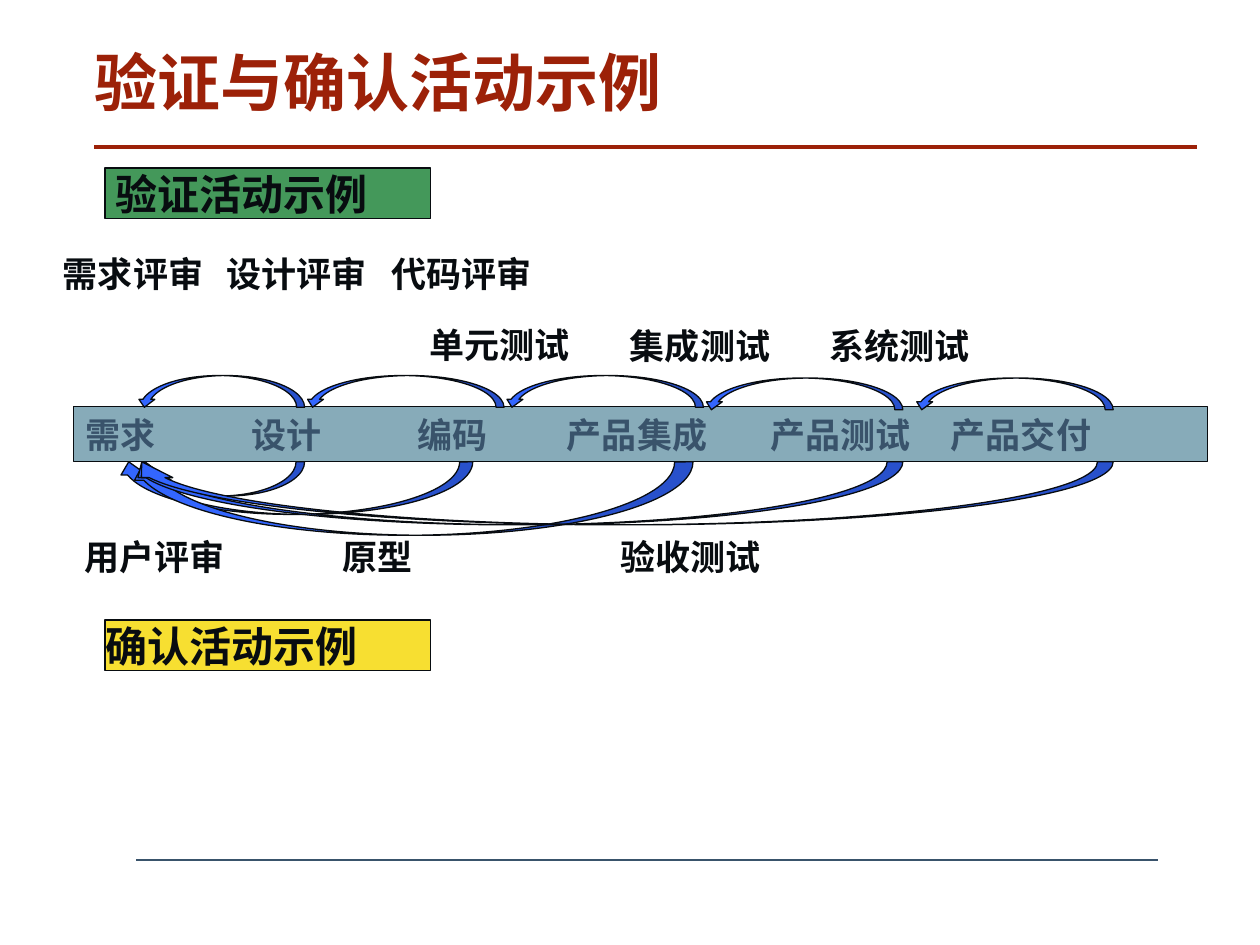
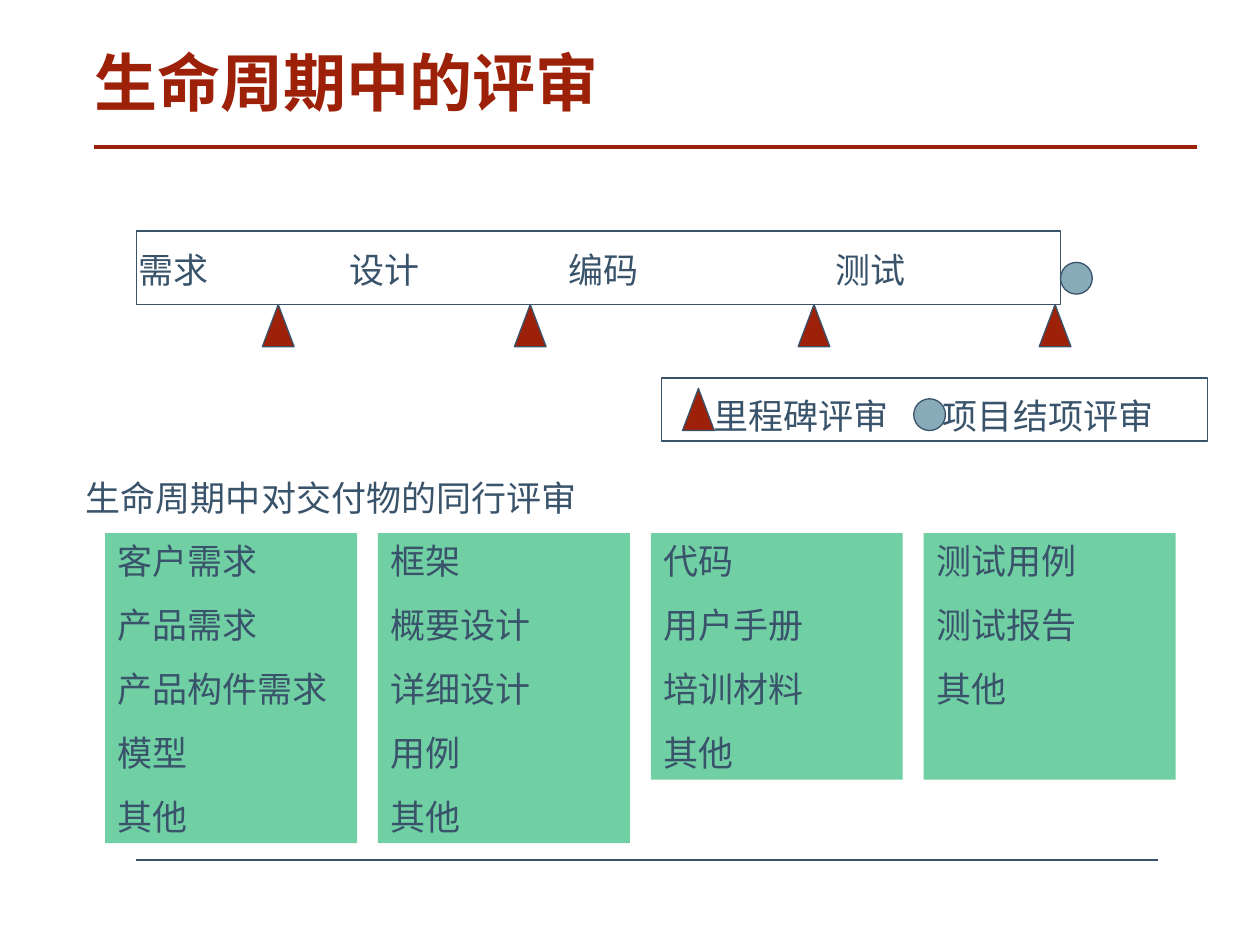
from lxml.etree import SubElement
from pptx import Presentation
from pptx.dml.color import RGBColor
from pptx.enum.shapes import MSO_CONNECTOR as CONN, MSO_SHAPE as SHAPE
from pptx.enum.text import MSO_ANCHOR as ANCHOR, PP_ALIGN as ALIGN
from pptx.oxml.ns import qn
from pptx.util import Cm, Pt

COLORS = {
    "title": "9C2108", "slate": "39536B", "ink": "080C10", "steel": "87ABB9",
    "green": "44985A", "yellow": "F7DF31", "blue": "3366FF", "mint": "71CFA4",
}
CJK = "Noto Sans CJK SC"
INSET_X, INSET_Y = 0.25, 0.13


def add_box(shapes, kind, left, top, width, height, fill=None, line=None):
    """Add a preset shape; all lengths in cm."""
    sp = shapes.add_shape(kind, Cm(left), Cm(top), Cm(width), Cm(height))
    sp.shadow.inherit = False
    if fill:
        sp.fill.solid()
        sp.fill.fore_color.rgb = RGBColor.from_string(COLORS[fill])
    else:
        sp.fill.background()
    if line:
        sp.line.color.rgb = RGBColor.from_string(COLORS[line])
        sp.line.width = Pt(0.75)
    else:
        sp.line.fill.background()
    return sp


def write(sp, lines, color, size=20, bold=False, font=CJK, inset=(0, 0), tabs=()):
    """Write one paragraph per line; tabs are cm from the text edge."""
    tf = sp.text_frame
    tf.word_wrap = True
    tf.vertical_anchor = ANCHOR.TOP
    tf.margin_left = tf.margin_right = Cm(inset[0])
    tf.margin_top = tf.margin_bottom = Cm(inset[1])
    for i, line in enumerate(lines):
        p = tf.paragraphs[0] if i == 0 else tf.add_paragraph()
        p.alignment = ALIGN.LEFT
        p.space_before = Pt(size * 0.625 if i else 0)
        if tabs:
            tab_list = SubElement(p._p.get_or_add_pPr(), qn("a:tabLst"))
            for pos in tabs:
                SubElement(tab_list, qn("a:tab"), pos=str(Cm(pos)), algn="l")
        r = p.add_run()
        r.text = line
        r.font.name = font
        r.font.size = Pt(size)
        r.font.bold = bold
        r.font.color.rgb = RGBColor.from_string(COLORS[color])
        SubElement(r._r.get_or_add_rPr(), qn("a:ea"), typeface=CJK)


prs = Presentation()
prs.slide_width, prs.slide_height = Cm(25.4), Cm(19.05)

# Shared frame: title, title rule and footer rule
rules = [(2.75, 23.35, 17.34, "slate", 1), (1.9, 24.13, 2.96, "title", 2.25)]
slides = []
for title in ("验证与确认活动示例", "生命周期中的评审"):
    slide = prs.slides.add_slide(prs.slide_layouts[5])
    slides.append(slide)
    for x1, x2, y, color, width in rules:
        rule = slide.shapes.add_connector(CONN.STRAIGHT, Cm(x1), Cm(y), Cm(x2), Cm(y))
        rule.line.color.rgb = RGBColor.from_string(COLORS[color])
        rule.line.width = Pt(width)
        SubElement(rule._element.spPr, qn("a:effectLst"))
    sp = slide.shapes.title
    sp.left, sp.top, sp.width, sp.height = Cm(1.9), Cm(1.07), Cm(22.23), Cm(1.55)
    write(sp, [title], "title", size=36, bold=True)
    sp.text_frame.paragraphs[0].line_spacing = 0.89

# Slide 1: process bar
shapes = slides[0].shapes
bar = add_box(shapes, SHAPE.RECTANGLE, 1.48, 8.2, 22.86, 1.11, "steel", "ink")
write(bar, ["需求\t设计\t编码\t产品集成\t产品测试\t产品交付"], "slate", bold=True,
      font="Arial", inset=(INSET_X, INSET_Y), tabs=(3.35, 6.68, 9.7, 13.81, 17.44))

# Activity labels above and below the bar
activities = [
    ("用户评审\t原型\t验收测试", 1.7, 10.8, 22.4, (5.21, 10.8)),
    ("单元测试", 8.65, 6.52, 3.6, ()),
    ("集成测试", 12.7, 6.55, 3.6, ()),
    ("系统测试", 16.72, 6.55, 3.6, ()),
    ("需求评审\t设计评审\t代码评审", 1.27, 5.08, 21.4, (3.3, 6.62)),
]
for text, left, top, width, tabs in activities:
    sp = shapes.add_textbox(Cm(left), Cm(top), Cm(width), Cm(0.85))
    write(sp, [text], "ink", bold=True, tabs=tabs)

# Headings of the two activity groups
for text, top, fill, indent in (("验证活动示例", 3.39, "green", 0.2),
                                ("确认活动示例", 12.5, "yellow", 0)):
    sp = add_box(shapes, SHAPE.RECTANGLE, 2.12, top, 6.56, 1.02, fill, "ink")
    write(sp, [text], "ink", size=24, bold=True, inset=(indent, 0))

# Backward arrows: verification above the bar, validation below
verify_arrows = [(2.75, 7.57, 3.39), (6.14, 7.57, 4.02), (10.16, 7.57, 4.02),
                 (14.18, 7.62, 4.02), (18.42, 7.62, 4.02)]
validate_arrows = [(2.75, 3.39, 0.69), (2.33, 7.2, 1.06), (2.54, 11.43, 1.48),
                   (2.54, 15.66, 1.27), (2.54, 19.9, 1.27)]
arrows = [(SHAPE.CURVED_UP_ARROW, x, y, w, 0.64) for x, y, w in verify_arrows]
arrows += [(SHAPE.CURVED_DOWN_ARROW, x, 9.31, w, h) for x, w, h in validate_arrows]
for arrow in arrows:
    sp = add_box(shapes, *arrow, fill="blue", line="ink")
    sp.rotation = 180

# Slide 2: life cycle bar
shapes = slides[1].shapes
add_box(shapes, SHAPE.RECTANGLE, 2.75, 4.66, 18.63, 1.48, line="slate")

# Review markers on the bar and in the legend
for left, top in ((21.38, 5.29), (18.42, 8.04)):
    add_box(shapes, SHAPE.OVAL, left, top, 0.64, 0.64, "steel", "slate")
for left, top in ((5.29, 6.14), (10.37, 6.14), (16.09, 6.14), (20.95, 6.14),
                  (13.76, 7.83)):
    add_box(shapes, SHAPE.ISOSCELES_TRIANGLE, left, top, 0.64, 0.85, "title", "slate")

# Phase names, legend text and subheading
captions = [
    ("需求\t设计\t编码\t测试", 2.54, 4.87, 18.63, (4.26, 8.67, 14.06)),
    ("里程碑评审\t项目结项评审", 14.14, 7.83, 10.2, (4.62,)),
    ("生命周期中对交付物的同行评审", 1.48, 9.47, 10.8, ()),
]
for text, left, top, width, tabs in captions:
    sp = shapes.add_textbox(Cm(left), Cm(top), Cm(width), Cm(1.11))
    write(sp, [text], "slate", font="Arial", inset=(INSET_X, INSET_Y), tabs=tabs)
add_box(shapes, SHAPE.RECTANGLE, 13.34, 7.62, 11, 1.27, line="slate")

# Deliverables under peer review, one column per phase
deliverables = [
    (6.25, ["客户需求", "产品需求", "产品构件需求", "模型", "其他"]),
    (6.25, ["框架", "概要设计", "详细设计", "用例", "其他"]),
    (4.97, ["代码", "用户手册", "培训材料", "其他"]),
    (4.97, ["测试用例", "测试报告", "其他"]),
]
for i, (height, items) in enumerate(deliverables):
    sp = add_box(shapes, SHAPE.RECTANGLE, 2.12 + 5.5 * i, 10.75, 5.08, height, "mint")
    write(sp, items, "slate", font="Arial", inset=(INSET_X, INSET_Y))

prs.save("out.pptx")
